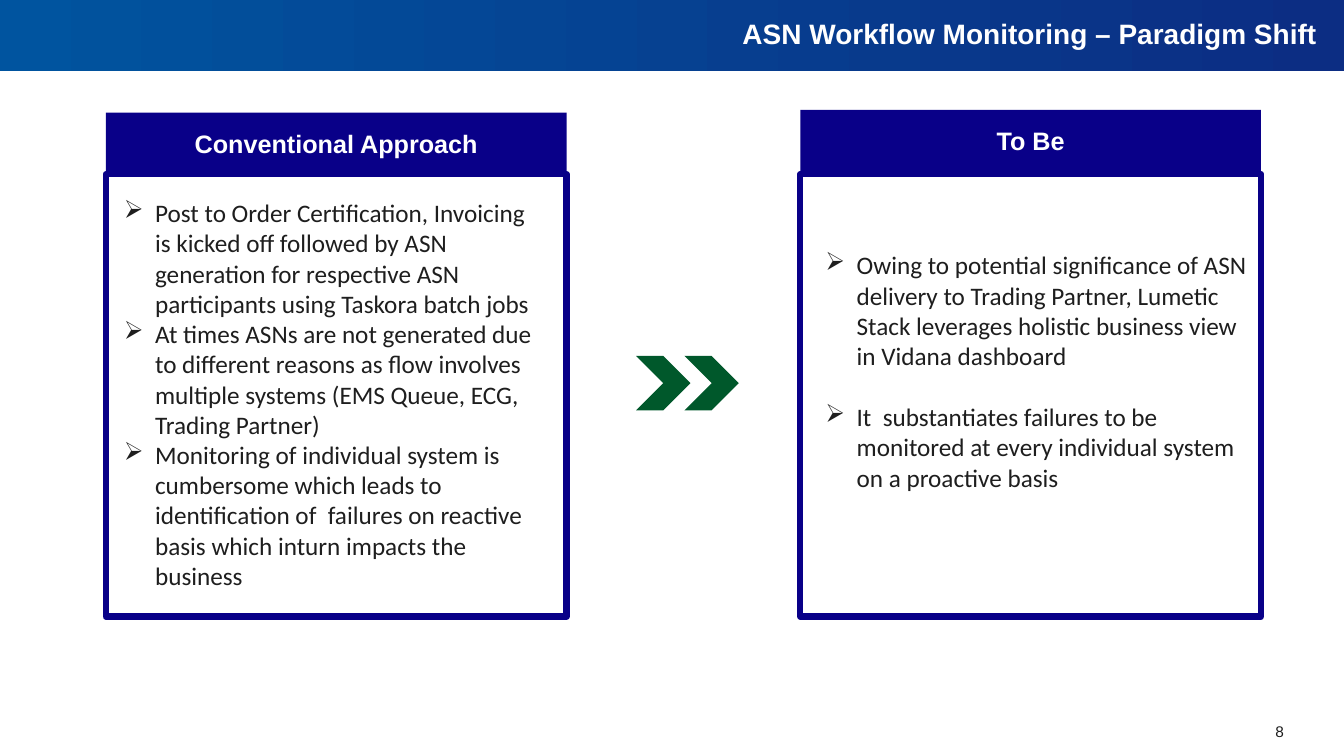
import pptx
import pptx.util
import pptx.dml.color
import pptx.enum.shapes
import pptx.enum.text
import lxml.etree

TITLE = "ASN Workflow Monitoring – Paradigm Shift"
PAGE = "8"
PANELS = [
    {
        "head": "Conventional Approach", "left": 2.67, "top": 2.84,
        "body": (1.6, 4.85, 12.27, 10.26), "gap": 0,
        "items": [
            "Post to Order Certification, Invoicing is kicked off followed by ASN generation for respective ASN participants using Taskora batch jobs",
            "At times ASNs are not generated due to different reasons as flow involves multiple systems (EMS Queue, ECG, Trading Partner)",
            "Monitoring of individual system is cumbersome which leads to identification of  failures on reactive basis which inturn impacts the business",
        ],
    },
    {
        "head": "To Be", "left": 20.17, "top": 2.77,
        "body": (19.28, 6.17, 12.47, 6.4), "gap": 22,
        "items": [
            "Owing to potential significance of ASN delivery to Trading Partner, Lumetic Stack leverages holistic business view in Vidana dashboard",
            "It  substantiates failures to be monitored at every individual system on a proactive basis",
        ],
    },
]
COLORS = {"navy": "090088", "green": "00582B", "ink": "1E1E1E",
          "white": "FFFFFF", "start": "00549F", "end": "0C2D83"}
WIDE, HIGH = 33.87, 19.05
BOX_TOP, BOX_W, BOX_H, HEAD_H = 4.39, 11.61, 11.15, 1.55
ARROW_X, ARROW_Y, ARROW, STEP = 16.03, 8.97, 1.37, 1.22
INDENT, HANG = 2.06, -0.79

Cm, Pt = pptx.util.Cm, pptx.util.Pt
KIND = pptx.enum.shapes.MSO_SHAPE
ALIGN = pptx.enum.text.PP_ALIGN
ANCHOR = pptx.enum.text.MSO_ANCHOR


def tint(name):
    return pptx.dml.color.RGBColor.from_string(COLORS[name])


def add_block(slide, kind, area, fill=None, line=None):
    block = slide.shapes.add_shape(kind, *map(Cm, area))
    block.shadow.inherit = False
    if fill:
        block.fill.solid()
        block.fill.fore_color.rgb = tint(fill)
    else:
        block.fill.background()
    if line:
        block.line.color.rgb = tint(line)
        block.line.width = Pt(4.5)
    else:
        block.line.fill.background()
    return block


def add_box(slide, area):
    frame = slide.shapes.add_textbox(*map(Cm, area)).text_frame
    frame.word_wrap = True
    return frame


def write(para, text, size, color, face="Arial", bold=False, align=ALIGN.CENTER):
    para.text = text
    para.alignment = align
    font = para.font
    font.name, font.size, font.bold = face, Pt(size), bold
    font.color.rgb = tint(color)


def add_bullet(para):
    props = para._p.get_or_add_pPr()
    props.set("marL", str(Cm(INDENT)))
    props.set("indent", str(Cm(HANG)))
    mark = lxml.etree.Element(pptx.oxml.ns.qn("a:buChar"), char="➢")
    props.insert_element_before(mark, "a:tabLst", "a:defRPr", "a:extLst")


def add_panel(slide, panel):
    left = panel["left"]
    add_block(slide, KIND.RECTANGLE, (left, BOX_TOP, BOX_W, BOX_H), line="navy")
    head = add_block(slide, KIND.RECTANGLE, (left, panel["top"], BOX_W, HEAD_H), "navy")
    head.text_frame.vertical_anchor = ANCHOR.MIDDLE
    write(head.text_frame.paragraphs[0], panel["head"], 18, "white", bold=True)
    frame = add_box(slide, panel["body"])
    for rank, item in enumerate(panel["items"]):
        para = frame.add_paragraph() if rank else frame.paragraphs[0]
        write(para, item, 18, "ink", "Calibri", align=ALIGN.LEFT)
        para.space_before = Pt(panel["gap"] if rank else 0)
        add_bullet(para)


def main():
    """Build the slide that compares the two approaches."""
    deck = pptx.Presentation()
    deck.slide_width, deck.slide_height = Cm(WIDE), Cm(HIGH)
    slide = deck.slides.add_slide(deck.slide_layouts[6])

    banner = add_block(slide, KIND.RECTANGLE, (0, 0, WIDE, 1.78))
    banner.fill.gradient()
    banner.fill.gradient_angle = 0
    for stop, name, place in zip(banner.fill.gradient_stops, ("start", "end"), (0, 1)):
        stop.color.rgb = tint(name)
        stop.position = place

    for panel in PANELS:
        add_panel(slide, panel)
    for rank in range(2):
        area = (ARROW_X + rank * STEP, ARROW_Y, ARROW, ARROW)
        add_block(slide, KIND.CHEVRON, area, "green")

    title = add_box(slide, (17.58, -0.25, 16.74, 2.24))
    title.vertical_anchor = ANCHOR.MIDDLE
    write(title.paragraphs[0], TITLE, 20, "white", bold=True)
    title.paragraphs[0].line_spacing = 0.95

    page = add_box(slide, (31.01, 18.19, 1.35, 0.51))
    page.margin_left = page.margin_right = page.margin_top = page.margin_bottom = 0
    write(page.paragraphs[0], PAGE, 11, "ink", align=ALIGN.RIGHT)
    deck.save("out.pptx")


if __name__ == "__main__":
    main()
